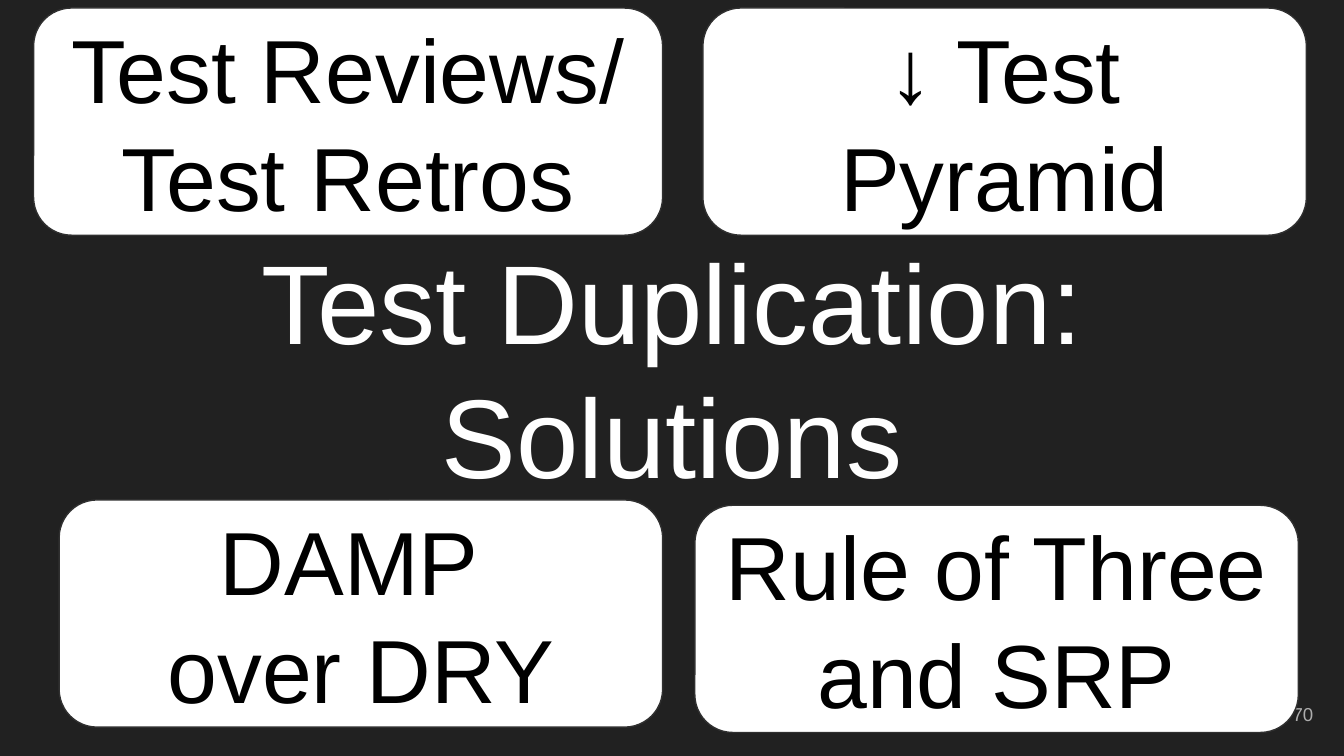
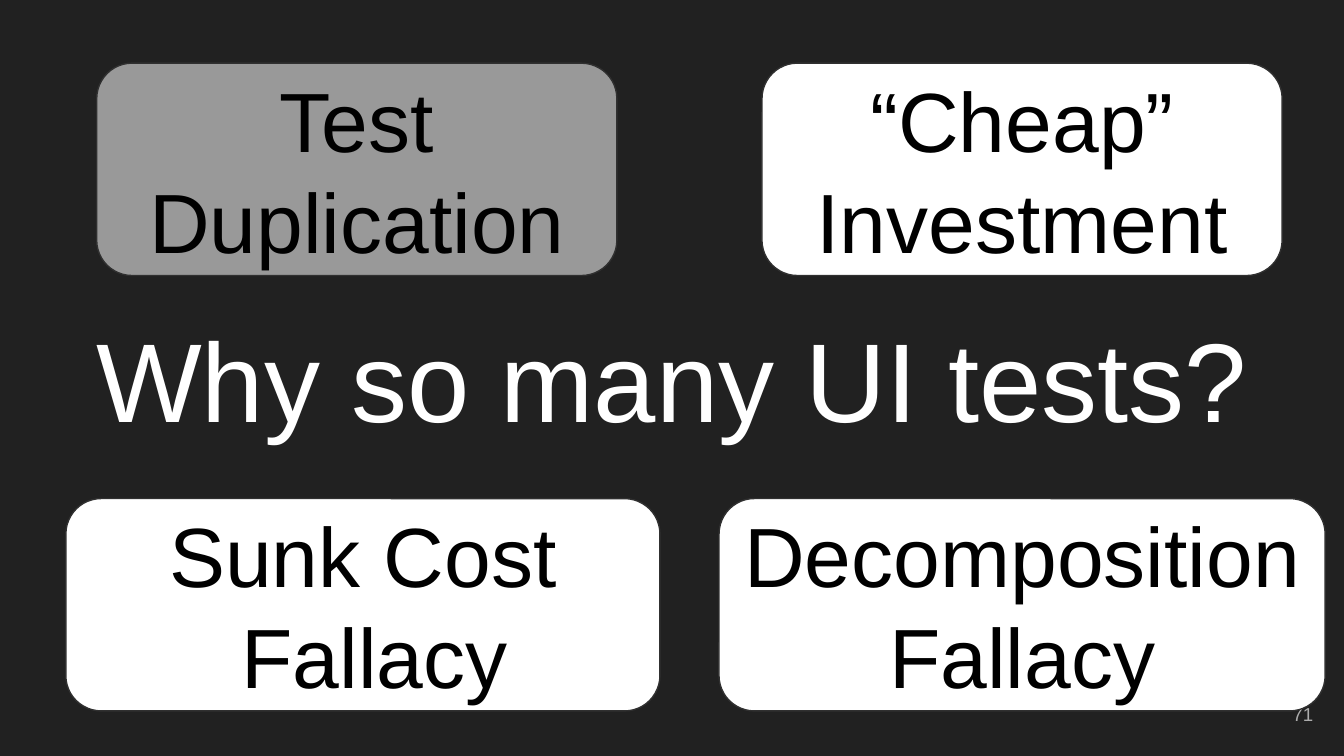
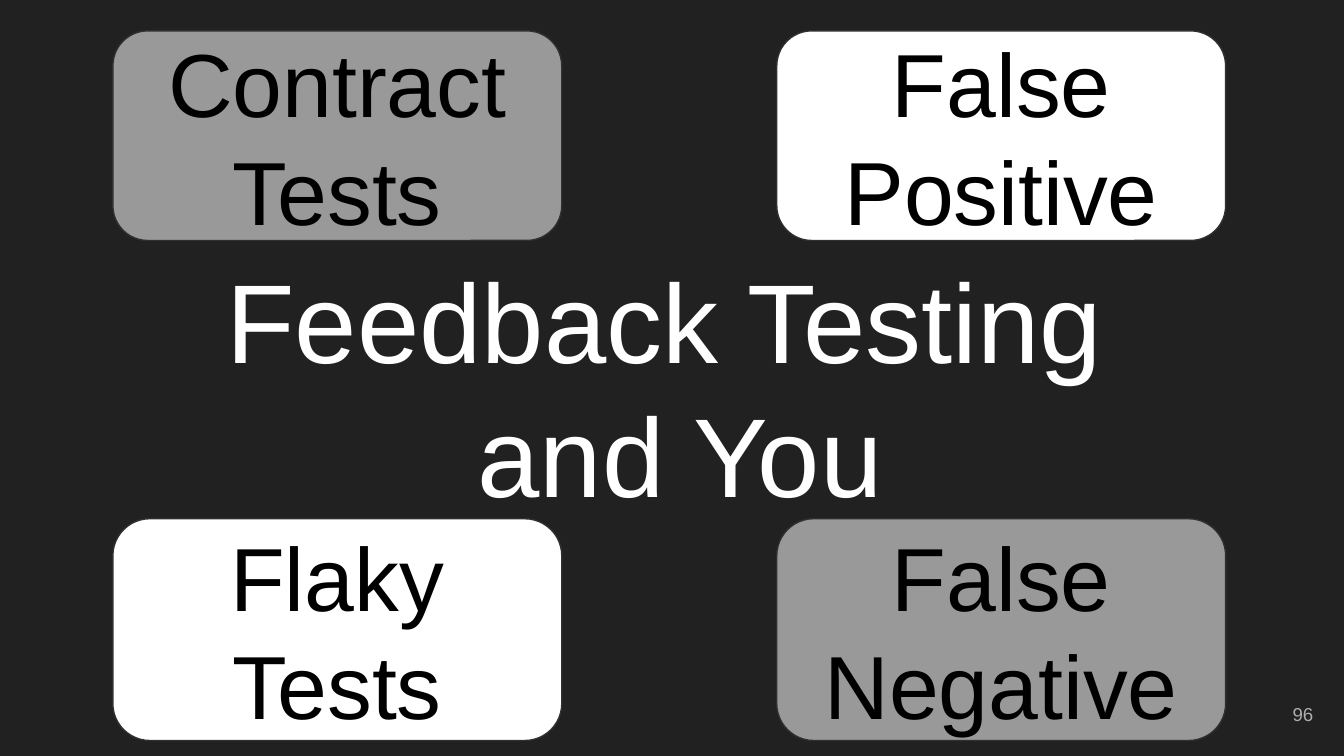
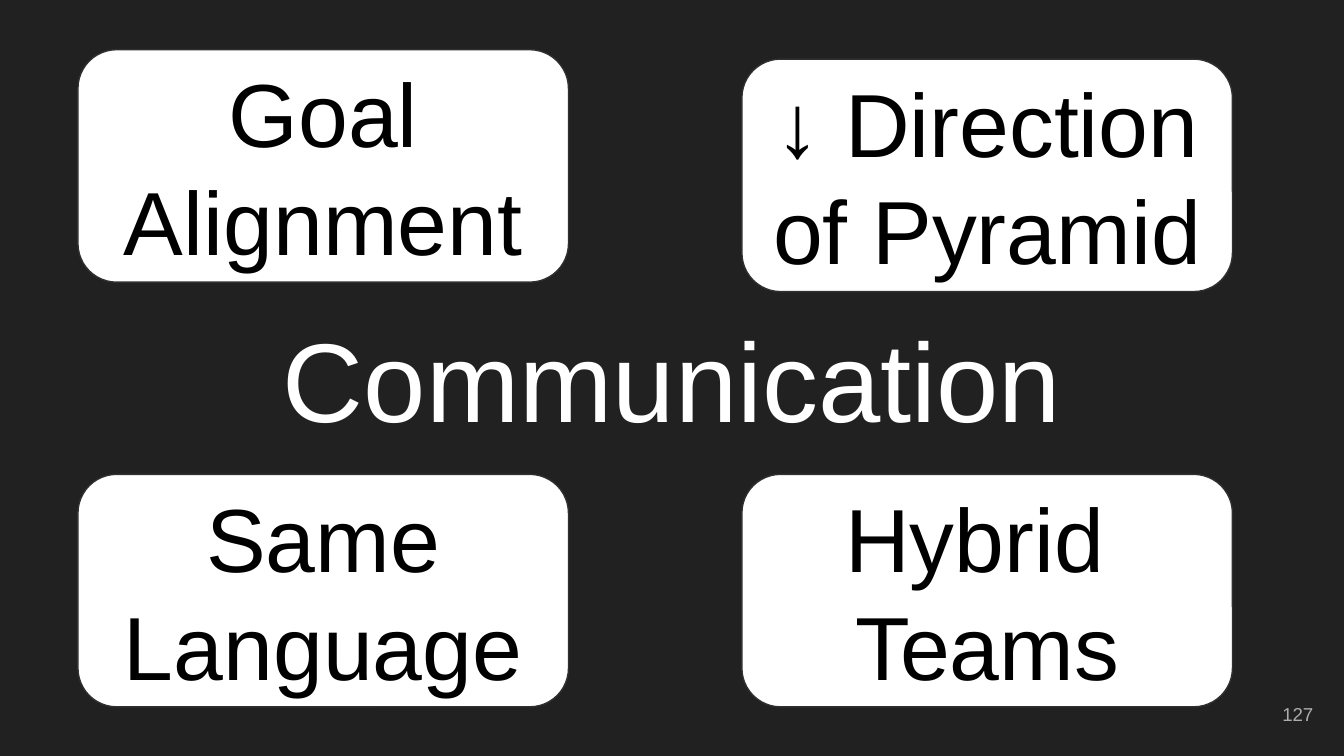
from pptx import Presentation
from pptx import util as u
from pptx.dml.color import RGBColor
from pptx.enum import shapes, text

# Content: each card is (text, left, top, width, fill)
WHITE, GREY = "FFFFFF", "999999"
SLIDES = [
    dict(title="Test Duplication: Solutions", box=(0.34, 2.22, 9.32, 1.02),
         num=70, size=48, high=(1.69, 1.69), cards=[
             ("Test Reviews/\nTest Retros", 0.25, 0.06, 4.68, WHITE),
             ("↓ Test Pyramid", 5.23, 0.06, 4.49, WHITE),
             ("DAMP \nover DRY", 0.44, 3.72, 4.49, WHITE),
             ("Rule of Three and SRP", 5.17, 3.76, 4.49, WHITE)]),
    dict(title="Why so many UI tests?", box=(0.34, 2.35, 9.32, 0.92),
         num=71, size=45, high=(1.58, 1.58), cards=[
             ("Test Duplication", 0.72, 0.47, 3.87, GREY),
             ("“Cheap” Investment", 5.67, 0.47, 3.87, WHITE),
             ("Sunk Cost\n Fallacy", 0.49, 3.71, 4.42, WHITE),
             ("Decomposition Fallacy", 5.35, 3.71, 4.51, WHITE)]),
    dict(title="Feedback Testing \nand You", box=(0.19, 2.41, 9.74, 0.92),
         num=96, size=48, high=(1.56, 1.65), cards=[
             ("Contract Tests", 0.84, 0.23, 3.34, GREY),
             ("False Positive", 5.78, 0.23, 3.34, WHITE),
             ("Flaky Tests", 0.84, 3.86, 3.34, WHITE),
             ("False Negative", 5.78, 3.86, 3.34, GREY)]),
    dict(title="Communication", box=(0.34, 2.35, 9.32, 0.92),
         num=127, size=48, high=(1.73, 1.73), cards=[
             ("Goal Alignment", 0.58, 0.37, 3.65, WHITE),
             ("↓ Direction of Pyramid", 5.52, 0.44, 3.65, WHITE),
             ("Same Language", 0.58, 3.53, 3.65, WHITE),
             ("Hybrid \nTeams", 5.52, 3.53, 3.65, WHITE)]),
]

# Shared style
FONT, BACK, EDGE, INK, FOOT = "Arial", "212121", "303030", "000000", "ADADAD"
NUM_BOX = (9.27, 5.1, 0.6, 0.43)


def rgb(code):
    return RGBColor.from_string(code)


def inches(box):
    return [u.Inches(n) for n in box]


def write(shape, words, size, color, align=text.PP_ALIGN.CENTER):
    frame = shape.text_frame
    frame.text = words
    frame.word_wrap = True
    frame.auto_size = text.MSO_AUTO_SIZE.NONE
    frame.vertical_anchor = text.MSO_ANCHOR.MIDDLE
    frame.margin_left = frame.margin_right = u.Inches(0.1)
    frame.margin_top = frame.margin_bottom = u.Inches(0.1)
    for para in frame.paragraphs:
        para.alignment = align
        para.line_spacing = 1.0
        para.font.name = FONT
        para.font.size = u.Pt(size)
        para.font.color.rgb = rgb(color)


def add_card(slide, words, box, size, fill):
    card = slide.shapes.add_shape(shapes.MSO_SHAPE.ROUNDED_RECTANGLE, *inches(box))
    card.shadow.inherit = False
    card.fill.solid()
    card.fill.fore_color.rgb = rgb(fill)
    card.line.color.rgb = rgb(EDGE)
    card.line.width = u.Pt(0.75)
    write(card, words, size, INK)


def add_page(deck, page):
    slide = deck.slides.add_slide(deck.slide_layouts.get_by_name("Title Only"))
    slide.background.fill.solid()
    slide.background.fill.fore_color.rgb = rgb(BACK)

    # Title and page number
    title = slide.shapes.title
    title.left, title.top, title.width, title.height = inches(page["box"])
    write(title, page["title"], 60, WHITE)
    num = slide.shapes.add_textbox(*inches(NUM_BOX))
    write(num, str(page["num"]), 10, FOOT, text.PP_ALIGN.RIGHT)

    # Two rows of two cards
    for i, (words, left, top, width, fill) in enumerate(page["cards"]):
        box = (left, top, width, page["high"][i // 2])
        add_card(slide, words, box, page["size"], fill)


def main():
    deck = Presentation()
    deck.slide_width = u.Inches(10)
    deck.slide_height = deck.slide_width * 9 // 16
    for page in SLIDES:
        add_page(deck, page)
    deck.save("out.pptx")


if __name__ == "__main__":
    main()
